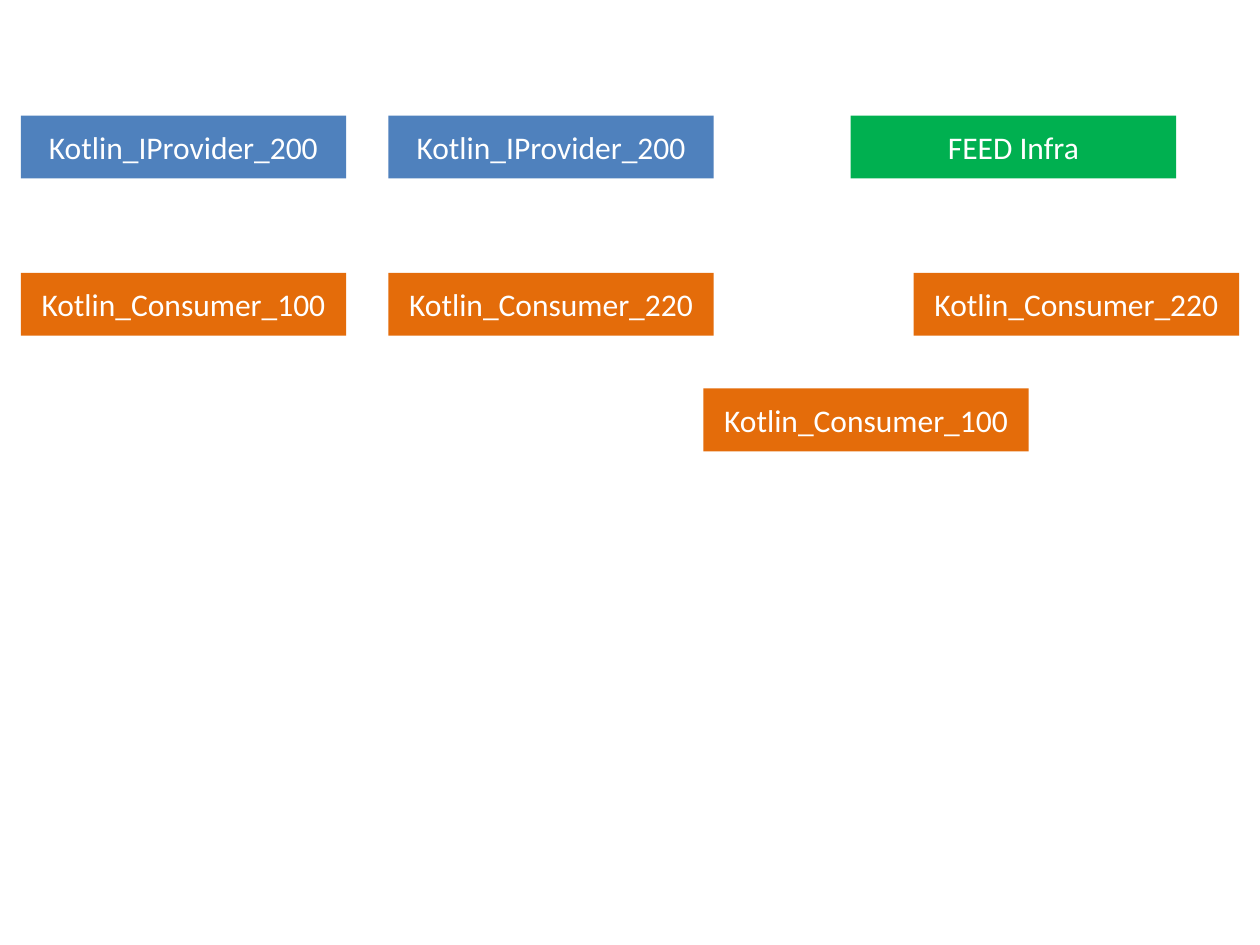
from pptx import Presentation
from pptx.dml.color import RGBColor
from pptx.enum.shapes import MSO_SHAPE
from pptx.enum.text import MSO_ANCHOR, PP_ALIGN
from pptx.util import Cm, Pt

BLUE, ORANGE, GREEN, WHITE = "4F81BD", "E46C0A", "00B050", "FFFFFF"
BOX_WIDTH, BOX_HEIGHT = 6.56, 1.27
FIRST_COLUMN, SECOND_COLUMN = 0.42, 7.83
PROVIDER_ROW, CONSUMER_ROW, LOWER_ROW = 2.33, 5.5, 7.83


def color(hex_value):
    return RGBColor.from_string(hex_value)


def add_box(slide, label, left, top, fill):
    """Add a component box with a centred label; lengths in centimetres."""
    box = slide.shapes.add_shape(
        MSO_SHAPE.RECTANGLE, Cm(left), Cm(top), Cm(BOX_WIDTH), Cm(BOX_HEIGHT))
    box.shadow.inherit = False
    box.fill.solid()
    box.fill.fore_color.rgb = color(fill)
    box.line.fill.background()

    frame = box.text_frame
    frame.word_wrap = True
    frame.vertical_anchor = MSO_ANCHOR.MIDDLE
    paragraph = frame.paragraphs[0]
    paragraph.alignment = PP_ALIGN.CENTER
    run = paragraph.add_run()
    run.text = label
    run.font.name = "Calibri"
    run.font.size = Pt(18)
    run.font.color.rgb = color(WHITE)


def main():
    prs = Presentation()
    prs.slide_width, prs.slide_height = Cm(25.4), Cm(19.05)
    slide = prs.slides.add_slide(prs.slide_layouts[6])

    # Providers and infrastructure
    for left in (FIRST_COLUMN, SECOND_COLUMN):
        add_box(slide, "Kotlin_IProvider_200", left, PROVIDER_ROW, BLUE)
    add_box(slide, "FEED Infra", 17.15, PROVIDER_ROW, GREEN)

    # Consumers
    for version, left, top in (
        (100, FIRST_COLUMN, CONSUMER_ROW),
        (220, SECOND_COLUMN, CONSUMER_ROW),
        (100, 14.18, LOWER_ROW),
        (220, 18.42, CONSUMER_ROW),
    ):
        add_box(slide, f"Kotlin_Consumer_{version}", left, top, ORANGE)

    prs.save("out.pptx")


main()
